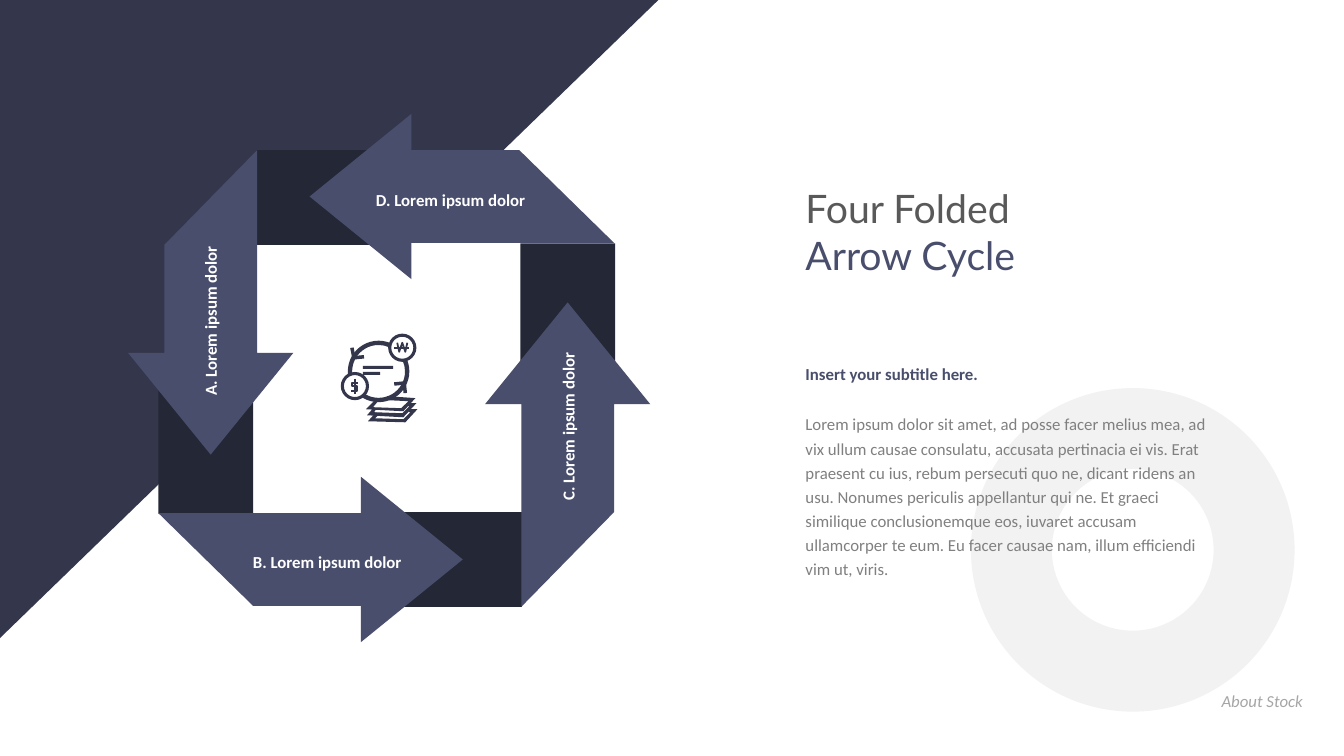
from pptx import Presentation
from pptx.dml.color import RGBColor
from pptx.enum.shapes import MSO_SHAPE
from pptx.enum.text import MSO_ANCHOR, MSO_AUTO_SIZE, PP_ALIGN
from pptx.util import Inches, Pt

NAVY = RGBColor(0x34, 0x37, 0x4C)
FOLD = RGBColor(0x24, 0x27, 0x36)
INDIGO = RGBColor(0x49, 0x4E, 0x6C)
CHARCOAL = RGBColor(0x59, 0x59, 0x59)
GREY = RGBColor(0x80, 0x80, 0x80)
SILVER = RGBColor(0xA6, 0xA6, 0xA6)
PALE = RGBColor(0xF2, 0xF2, 0xF2)
WHITE = RGBColor(0xFF, 0xFF, 0xFF)

# Downward arrow with a slanted tail, measured from its centre
ARROW = [(0.46, -1.51), (0.46, 0.5), (0.82, 0.5), (0, 1.51),
         (-0.82, 0.5), (-0.46, 0.5), (-0.46, -0.57)]

# Arrow centre, arrow rotation, fold centre, fold rotation
CYCLE = [
    ((4.58, 1.95), 90, (3.2, 1.96), 0),
    ((5.63, 4.51), 180, (5.63, 3.07), 90),
    ((3.08, 5.55), 270, (4.52, 5.55), 180),
    ((2.09, 3.0), 0, (2.04, 4.44), 270),
]

LABELS = [
    ("D. Lorem ipsum dolor", 3.63, 1.79, 0),
    ("B. Lorem ipsum dolor", 2.41, 5.38, 0),
    ("C. Lorem ipsum dolor", 4.27, 3.56, 270),
    ("A. Lorem ipsum dolor", 0.72, 2.52, 270),
]

BODY = ("Lorem ipsum dolor sit amet, ad posse facer melius mea, ad vix ullum "
        "causae consulatu, accusata pertinacia ei vis. Erat praesent cu ius, "
        "rebum persecuti quo ne, dicant ridens an usu. Nonumes periculis "
        "appellantur qui ne. Et graeci similique conclusionemque eos, iuvaret "
        "accusam ullamcorper te eum. Eu facer causae nam, illum efficiendi "
        "vim ut, viris.")

COIN_SIGNS = [
    [(3.94, 3.4), (3.96, 3.49), (3.99, 3.4), (4.02, 3.49), (4.04, 3.4)],
    [(3.91, 3.45), (4.06, 3.45)],
    [(3.55, 3.8), (3.49, 3.8), (3.49, 3.83), (3.54, 3.83), (3.54, 3.88),
     (3.48, 3.88)],
    [(3.52, 3.76), (3.52, 3.91)],
]
ARROW_TIPS = [
    [(3.91, 3.81), (4.01, 3.8), (4.02, 3.9)],
    [(3.61, 3.54), (3.51, 3.55), (3.49, 3.45)],
]
BANKNOTES = [
    [(4.02, 4.19), (3.65, 4.18), (3.73, 4.09), (3.75, 4.12), (3.72, 4.15),
     (4, 4.16), (4.07, 4.09), (4.05, 4.09), (4.05, 4.06), (4.14, 4.06)],
    [(4, 4.14), (3.64, 4.12), (3.71, 4.04), (3.73, 4.06), (3.71, 4.09),
     (3.99, 4.1), (4.06, 4.03), (4.03, 4.03), (4.03, 4), (4.13, 4)],
    [(4, 4.08), (3.63, 4.06), (3.73, 3.96), (3.75, 3.98), (3.7, 4.04),
     (3.98, 4.05), (4.05, 3.98), (3.84, 3.97), (3.84, 3.93), (4.12, 3.95)],
]


def paint(shape, color):
    shape.shadow.inherit = False
    shape.fill.solid()
    shape.fill.fore_color.rgb = color
    shape.line.fill.background()


def add_preset(slide, kind, left, top, width, height, color, adjustments=()):
    shape = slide.shapes.add_shape(
        kind, Inches(left), Inches(top), Inches(width), Inches(height))
    for index, value in enumerate(adjustments):
        shape.adjustments[index] = value
    paint(shape, color)
    return shape


def add_outline(slide, points, close):
    corners = [(Inches(x), Inches(y)) for x, y in points]
    builder = slide.shapes.build_freeform(*corners[0])
    builder.add_line_segments(corners[1:], close=close)
    return builder.convert_to_shape()


def add_polygon(slide, points, color):
    polygon = add_outline(slide, points, close=True)
    paint(polygon, color)
    return polygon


def add_stroke(slide, points, weight):
    stroke = add_outline(slide, points, close=False)
    stroke.shadow.inherit = False
    stroke.fill.background()
    stroke.line.color.rgb = NAVY
    stroke.line.width = Pt(weight)


def add_text(slide, text, left, top, width, height, color, bold=False,
             italic=False, align=PP_ALIGN.LEFT, rotation=0):
    box = slide.shapes.add_textbox(
        Inches(left), Inches(top), Inches(width), Inches(height))
    box.rotation = rotation
    frame = box.text_frame
    frame.word_wrap = True
    frame.auto_size = MSO_AUTO_SIZE.SHAPE_TO_FIT_TEXT
    paragraph = frame.paragraphs[0]
    paragraph.text = text
    paragraph.alignment = align
    paragraph.line_spacing = 1.2
    font = paragraph.font
    font.name, font.size = "Calibri", Pt(12)
    font.bold, font.italic = bold, italic
    font.color.rgb = color


def add_title(slide):
    box = slide.shapes.add_textbox(
        Inches(7.89), Inches(1.78), Inches(5.44), Inches(1.97))
    frame = box.text_frame
    frame.word_wrap = True
    frame.vertical_anchor = MSO_ANCHOR.TOP
    paragraph = frame.paragraphs[0]
    paragraph.font.name, paragraph.font.size = "Lato", Pt(28)
    first = paragraph.add_run()
    first.text = "Four Folded"
    paragraph.add_line_break()
    second = paragraph.add_run()
    second.text = "Arrow Cycle"
    for run, color in ((first, CHARCOAL), (second, INDIGO)):
        run.font.color.rgb = color


def add_background(slide):
    corner = add_preset(slide, MSO_SHAPE.RIGHT_TRIANGLE, 0, 0, 6.53, 6.33, NAVY)
    corner.rotation = 180
    corner._element.spPr.get_or_add_xfrm().set("flipH", "1")
    add_preset(slide, MSO_SHAPE.RECTANGLE, 2.41, 2.28, 2.91, 2.96, WHITE)
    add_preset(slide, MSO_SHAPE.DONUT, 9.63, 3.85, 3.21, 3.21, PALE)


def add_arrow_cycle(slide):
    for _, _, (x, y), rotation in CYCLE:
        fold = add_preset(slide, MSO_SHAPE.RECTANGLE,
                          x - 0.655, y - 0.47, 1.31, 0.94, FOLD)
        fold.rotation = rotation
    for (x, y), rotation, _, _ in CYCLE:
        arrow = add_polygon(slide, [(x + dx, y + dy) for dx, dy in ARROW], INDIGO)
        arrow.rotation = rotation
    for text, left, top, rotation in LABELS:
        add_text(slide, text, left, top, 2.68, 0.33, WHITE, bold=True,
                 rotation=rotation)


def add_money_icon(slide):
    degree = 0.6  # adjustment units per degree of arc
    for start, end in ((-24, 122), (175, -66)):
        add_preset(slide, MSO_SHAPE.BLOCK_ARC, 3.45, 3.38, 0.61, 0.61, NAVY,
                   (start % 360 * degree, end % 360 * degree, 0.07))
    for left, top in ((3.85, 3.31), (3.38, 3.69)):
        add_preset(slide, MSO_SHAPE.DONUT, left, top, 0.28, 0.28, NAVY, (0.11,))
    for top, width in ((3.63, 0.3), (3.69, 0.17)):
        add_preset(slide, MSO_SHAPE.RECTANGLE, 3.6, top, width, 0.03, NAVY)
    for sign in COIN_SIGNS:
        add_stroke(slide, sign, 1.25)
    for tip in ARROW_TIPS:
        add_stroke(slide, tip, 2.5)
    for note in BANKNOTES:
        add_polygon(slide, note, NAVY)


def main():
    prs = Presentation()
    prs.slide_width, prs.slide_height = Inches(13.33), Inches(7.5)
    slide = prs.slides.add_slide(prs.slide_layouts[6])
    add_background(slide)
    add_title(slide)
    add_text(slide, BODY, 7.89, 4.02, 4.18, 1.54, GREY)
    add_text(slide, "Insert your subtitle here.", 7.89, 3.52, 4.18, 0.33,
             INDIGO, bold=True)
    add_arrow_cycle(slide)
    add_money_icon(slide)
    add_text(slide, "About Stock", 8.84, 6.76, 4.18, 0.33, SILVER, italic=True,
             align=PP_ALIGN.RIGHT)
    prs.save("out.pptx")


if __name__ == "__main__":
    main()
